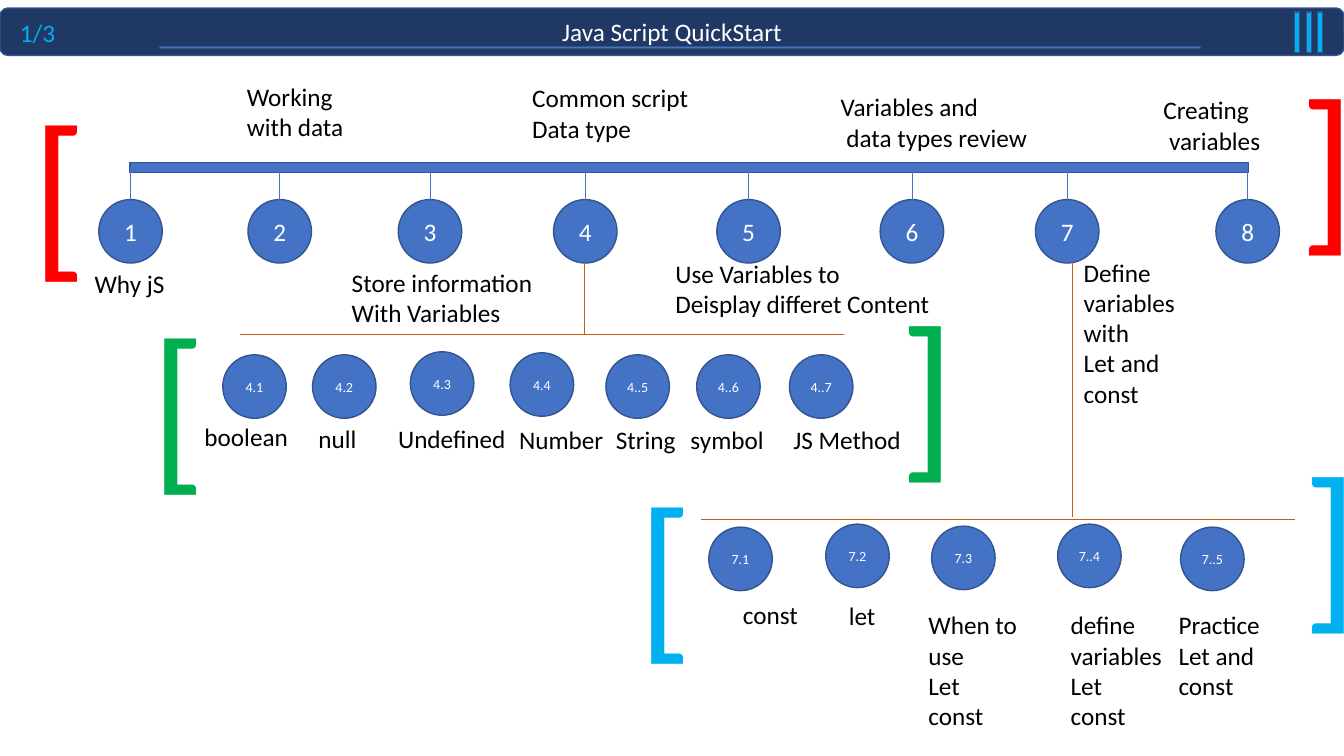
from lxml.etree import SubElement
from pptx import Presentation
from pptx.dml.color import RGBColor
from pptx.enum.shapes import MSO_CONNECTOR, MSO_SHAPE
from pptx.enum.text import MSO_ANCHOR, MSO_AUTO_SIZE, PP_ALIGN
from pptx.oxml.ns import qn
from pptx.util import Inches, Pt

BLUE, NAVY, SKY, EDGE = "4472C4", "203864", "00B0F0", "325491"
ORANGE, RED, GREEN = "C55A11", "FF0000", "00B050"
BLACK, WHITE = "000000", "FFFFFF"
NODE_SIZE = 0.63
NODE_TOP = 1.98


def color(value):
    return RGBColor.from_string(value)


class RoadmapSlide:
    """Draws the styled elements of a roadmap on one slide."""

    font_name = "Calibri"

    def __init__(self, slide):
        self.shapes = slide.shapes

    def set_text(self, frame, text, size, ink, align=PP_ALIGN.LEFT):
        frame.text = text
        for paragraph in frame.paragraphs:
            paragraph.alignment = align
            paragraph.font.name = self.font_name
            paragraph.font.size = Pt(size)
            paragraph.font.color.rgb = color(ink)

    def block(self, kind, left, top, width, height, fill, text="", size=18):
        block = self.shapes.add_shape(
            kind, Inches(left), Inches(top), Inches(width), Inches(height))
        block.shadow.inherit = False
        block.fill.solid()
        block.fill.fore_color.rgb = color(fill)
        block.line.color.rgb = color(EDGE)
        block.line.width = Pt(1)
        if text:
            frame = block.text_frame
            frame.margin_left = frame.margin_right = 0
            frame.vertical_anchor = MSO_ANCHOR.MIDDLE
            self.set_text(frame, text, size, WHITE, PP_ALIGN.CENTER)

    def node(self, label, left, top, size):
        self.block(MSO_SHAPE.OVAL, left, top, NODE_SIZE, NODE_SIZE, BLUE, label, size)

    def line(self, x1, y1, x2, y2, stroke):
        line = self.shapes.add_connector(
            MSO_CONNECTOR.STRAIGHT, Inches(x1), Inches(y1), Inches(x2), Inches(y2))
        line.line.color.rgb = color(stroke)
        line.line.width = Pt(0.5)
        SubElement(line._element.spPr, qn("a:effectLst"))

    def label(self, text, left, top, width, height=0.4, wrap=False,
              size=18, ink=BLACK, rotation=0):
        label = self.shapes.add_textbox(
            Inches(left), Inches(top), Inches(width), Inches(height))
        label.rotation = rotation
        label.text_frame.word_wrap = wrap
        label.text_frame.auto_size = MSO_AUTO_SIZE.SHAPE_TO_FIT_TEXT
        self.set_text(label.text_frame, text, size, ink)

    def bracket(self, left, top, ink, rotation=0):
        self.label("[", left, top, 1.18, 2.29, True, 130, ink, rotation)


def draw_timeline(roadmap):
    roadmap.block(MSO_SHAPE.RECTANGLE, 1.29, 1.61, 11.09, 0.1, BLUE)
    steps = (0.98, 2.46, 3.95, 5.49, 7.11, 8.73, 10.27, 12.06)
    for number, left in enumerate(steps, 1):
        middle = left + NODE_SIZE / 2
        roadmap.node(str(number), left, NODE_TOP, 18)
        roadmap.line(middle, 1.66, middle, NODE_TOP, BLUE)
    for topic in (
        ("Why jS", 0.84, 2.61, 0.9),
        ("Working with data", 2.35, 0.76, 1.35, 0.71, True),
        ("Store information\nWith Variables", 3.39, 2.6, 2.01, 0.71),
        ("Common script\nData type", 5.18, 0.77, 1.82, 0.71),
        ("Use Variables to\nDeisplay differet Content", 6.6, 2.51, 2.75, 0.71, True),
        ("Variables and\n data types review", 8.24, 0.86, 2.07, 0.71),
        ("Define variables with\nLet and const", 10.65, 2.5, 1.41, 1.62, True),
        ("Creating\n variables", 11.44, 0.89, 1.17, 0.71),
    ):
        roadmap.label(*topic)


def draw_branches(roadmap):
    for branch_line in (
        (2.38, 3.32, 8.37, 3.32),
        (5.8, 2.61, 5.8, 3.32),
        (10.64, 2.6, 10.64, 5.13),
        (6.95, 5.15, 12.84, 5.15),
    ):
        roadmap.line(*branch_line, ORANGE)
    for number, left, top, topic in (
        ("4.1", 2.21, 3.52, ("boolean", 1.93, 4.13, 1.04)),
        ("4.2", 3.1, 3.52, ("null", 3.06, 4.15, 0.58)),
        ("4.3", 4.07, 3.49, ("Undefined", 3.85, 4.15, 1.28)),
        ("4.4", 5.06, 3.5, ("Number", 5.05, 4.16, 1.05)),
        ("4..5", 6.01, 3.52, ("String", 6.01, 4.16, 0.8)),
        ("4..6", 6.91, 3.52, ("symbol", 6.75, 4.16, 0.94)),
        ("4..7", 7.83, 3.52, ("JS Method", 7.77, 4.16, 1.28)),
        ("7.1", 7.03, 5.23, ("const", 7.27, 5.9, 0.75)),
        ("7.2", 8.19, 5.2, ("let", 8.32, 5.91, 0.47)),
        ("7.3", 9.24, 5.22, ("When to\nuse\nLet\nconst", 9.11, 6, 1.15, 1.31)),
        ("7..4", 10.49, 5.2, ("define\nvariables\nLet\nconst", 10.52, 6, 1.12, 1.31)),
        ("7..5", 11.71, 5.23, ("Practice\nLet and\nconst", 11.59, 6, 1.02, 1.01)),
    ):
        roadmap.node(number, left, top, 10)
        roadmap.label(*topic)


def draw_brackets(roadmap):
    for ink, opening, closing in (
        (RED, (0.21, 0.7), (12.36, 0.8)),
        (GREEN, (1.39, 2.81), (8.4, 3.05)),
        (SKY, (6.22, 4.49), (12.39, 4.55)),
    ):
        roadmap.bracket(*opening, ink)
        roadmap.bracket(*closing, ink, 180)


def draw_header(roadmap):
    roadmap.block(MSO_SHAPE.ROUNDED_RECTANGLE, 0, 0.08, 13.33, 0.47, NAVY,
                  "Java Script QuickStart")
    roadmap.block(MSO_SHAPE.RECTANGLE, 1.58, 0.46, 10.33, 0.02, BLUE)
    for left in (12.84, 12.96, 13.07):
        roadmap.block(MSO_SHAPE.RECTANGLE, left, 0.12, 0.05, 0.4, SKY)
    roadmap.label("1/3", 0.1, 0.12, 0.56, ink=SKY)


def main():
    deck = Presentation()
    deck.slide_width, deck.slide_height = Inches(13.33), Inches(7.5)
    roadmap = RoadmapSlide(deck.slides.add_slide(deck.slide_layouts[6]))
    draw_timeline(roadmap)
    draw_branches(roadmap)
    draw_brackets(roadmap)
    draw_header(roadmap)
    deck.save("out.pptx")


if __name__ == "__main__":
    main()
